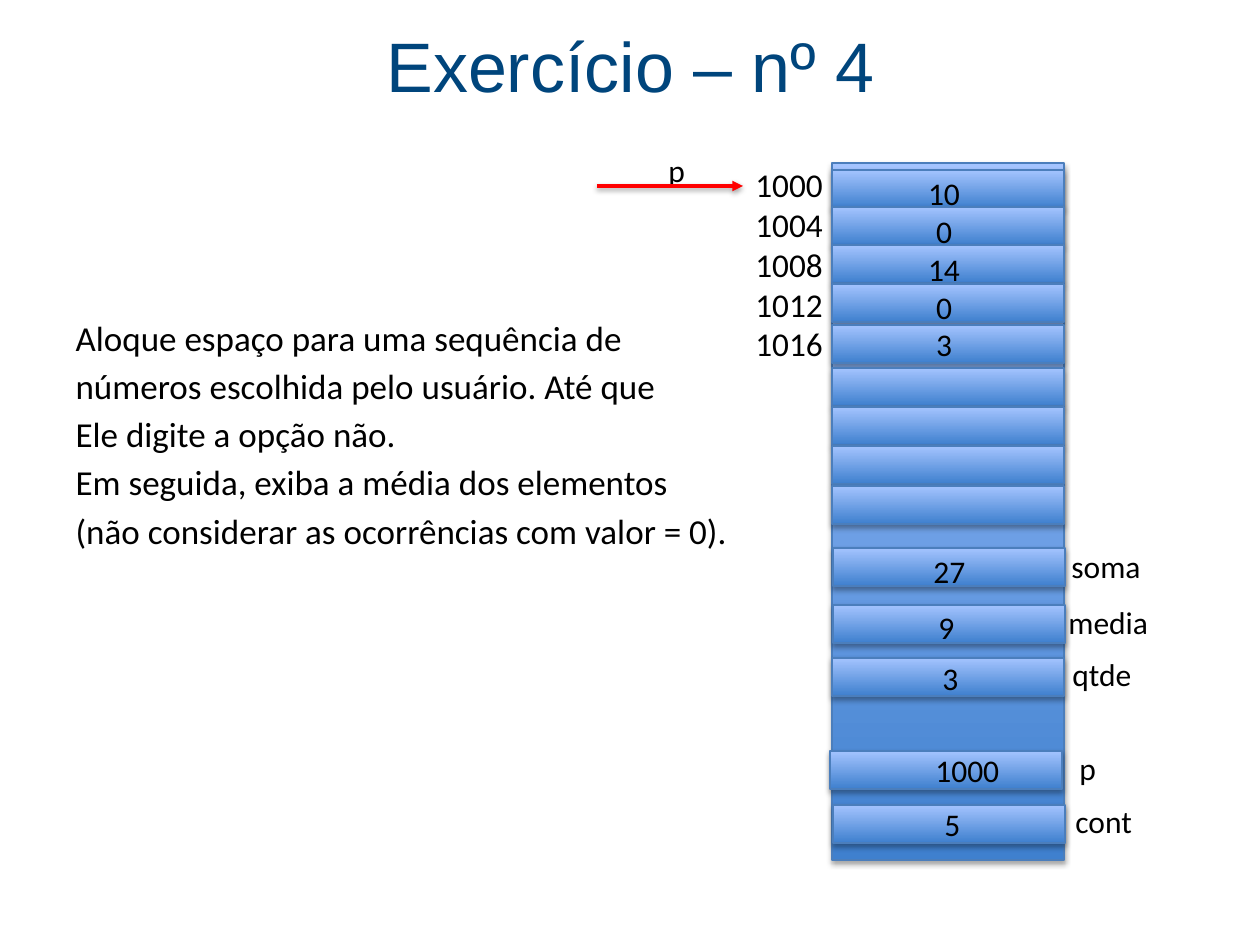
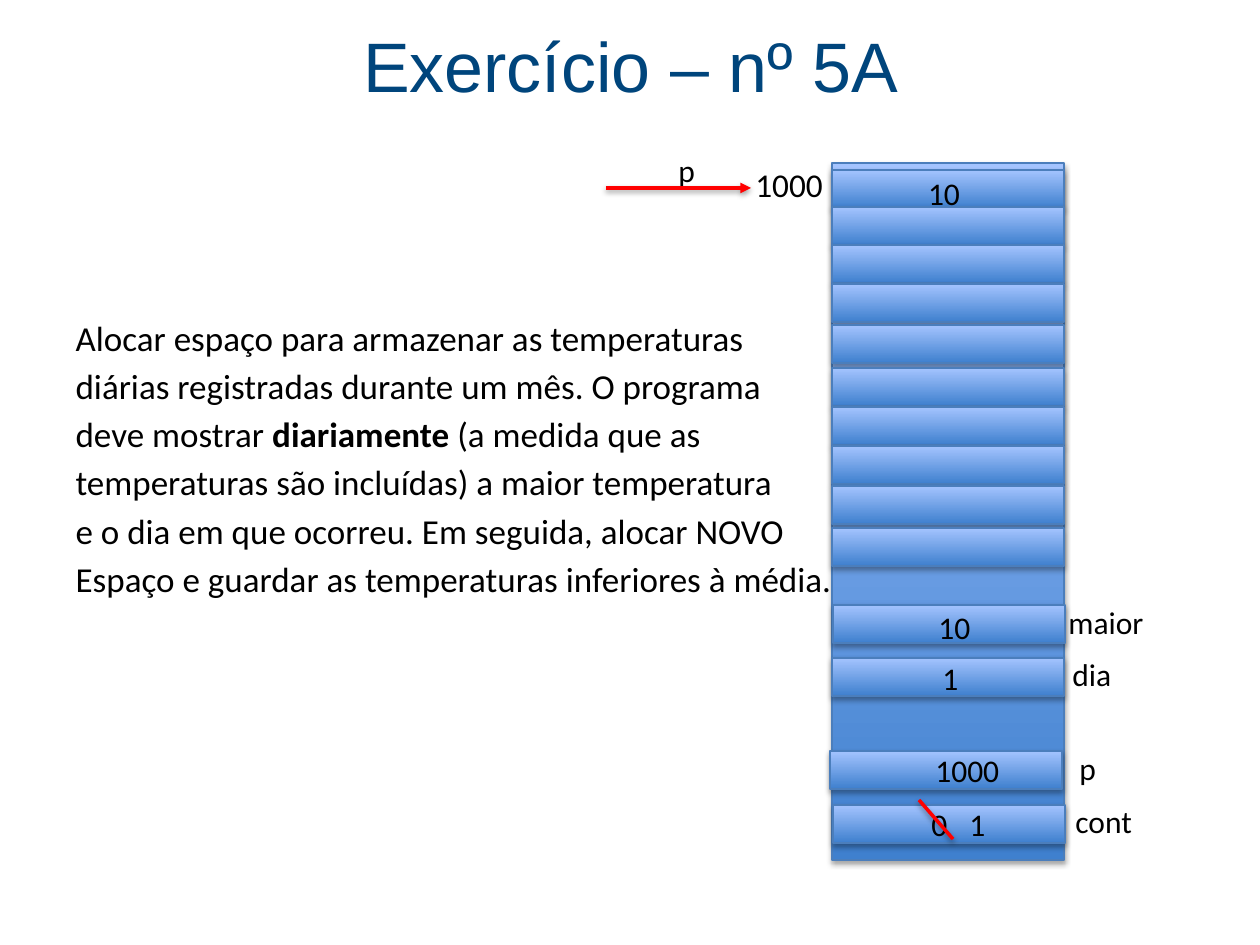
"""Builds two exercise slides that show memory diagrams."""
import dataclasses
import typing

import lxml.etree
import pptx
import pptx.dml.color
import pptx.enum.shapes
import pptx.enum.text
import pptx.oxml.ns
import pptx.util

PX = 914400 / 126
CELL_W, CELL_H = 232, 38
COLUMN_X, COLUMN_Y, COLUMN_H = 832, 163, 697
NOTE_W, NOTE_H = 110, 50
SLOT_TOPS = (170, 207, 245, 284, 325, 368, 407, 446, 486, 528)


@dataclasses.dataclass(frozen=True)
class Theme:
    """Colours, fonts and type sizes of the deck."""
    title: str = "00457C"
    text: str = "000000"
    cell_dark: str = "3F80CE"
    cell_light: str = "A4C4FF"
    cell_line: str = "4B7EBC"
    arrow: str = "FF0000"
    title_font: str = "Arial"
    text_font: str = "Calibri"
    title_size: int = 40
    body_size: int = 20
    address_size: int = 19
    note_size: int = 18
    body_gap: float = 3.6


class Note(typing.NamedTuple):
    """A short text and the corner of its box."""
    text: str
    x: int
    y: int


class Variable(typing.NamedTuple):
    """A named memory cell with its values and label."""
    x: int
    y: int
    values: tuple[Note, ...]
    label: Note


class Line(typing.NamedTuple):
    """A straight red line, with or without an arrowhead."""
    x1: int
    y1: int
    x2: int
    y2: int
    head: bool = True


class Exercise(typing.NamedTuple):
    """The contents of one slide."""
    title: str
    body: tuple[str, ...]
    slots: int
    addresses: tuple[str, ...]
    contents: tuple[str, ...]
    pointer: Note
    variables: tuple[Variable, ...]
    lines: tuple[Line, ...]


THEME = Theme()
POINTER = Variable(830, 751, (Note("1000", 923, 745),), Note("p", 1067, 743))


def counter(*values: Note) -> Variable:
    """Return the cont variable holding the given values."""
    return Variable(833, 805, values, Note("cont", 1063, 796))


EXERCISES = (
    Exercise(
        "Exercício – nº 4",
        ("Aloque espaço para uma sequência de",
         "números escolhida pelo usuário. Até que",
         "Ele digite a opção não.",
         "Em seguida, exiba a média dos elementos",
         "(não considerar as ocorrências com valor = 0)."),
        9,
        ("1000", "1004", "1008", "1012", "1016"),
        ("10", "0", "14", "0", "3"),
        Note("p", 656, 145),
        (Variable(833, 548, (Note("27", 921, 546),), Note("soma", 1059, 541)),
         Variable(833, 605, (Note("9", 926, 602),), Note("media", 1056, 597)),
         Variable(832, 658, (Note("3", 930, 653),), Note("qtde", 1060, 649)),
         POINTER,
         counter(Note("5", 932, 799))),
        (Line(597, 186, 743, 186),),
    ),
    Exercise(
        "Exercício – nº 5A",
        ("Alocar espaço para armazenar as temperaturas",
         "diárias registradas durante um mês. O programa",
         "deve mostrar *diariamente* (a medida que as",
         "temperaturas são incluídas) a maior temperatura",
         "e o dia em que ocorreu. Em seguida, alocar NOVO",
         "Espaço e guardar as temperaturas inferiores à média."),
        10,
        ("1000",),
        ("10",),
        Note("p", 666, 145),
        (Variable(833, 605, (Note("10", 926, 602),), Note("maior", 1056, 597)),
         Variable(832, 658, (Note("1", 930, 653),), Note("dia", 1060, 649)),
         POINTER,
         counter(Note("0", 919, 799), Note("1", 957, 799))),
        (Line(606, 188, 751, 188), Line(919, 800, 953, 839, head=False)),
    ),
)


def px(n: float) -> pptx.util.Emu:
    """Turn pixels into EMU."""
    return pptx.util.Emu(round(n * PX))


def rgb(color: str) -> pptx.dml.color.RGBColor:
    """Return a colour object for a hex string."""
    return pptx.dml.color.RGBColor.from_string(color)


def add_text(p, text: str, *, size: float = THEME.note_size, font: str = THEME.text_font,
             color: str = THEME.text, bold: bool = False) -> None:
    """Append a formatted run to a paragraph."""
    r = p.add_run()
    r.text = text
    r.font.size = pptx.util.Pt(size)
    r.font.name = font
    r.font.bold = bold
    r.font.color.rgb = rgb(color)


def paragraphs(tf, lines: typing.Sequence[str]) -> typing.Iterator[tuple]:
    """Yield one paragraph of the frame for each line of text."""
    for i, line in enumerate(lines):
        yield (tf.add_paragraph() if i else tf.paragraphs[0]), line


def place(sp, x: int, y: int, w: int, h: int) -> None:
    """Move and size a shape."""
    sp.left, sp.top, sp.width, sp.height = px(x), px(y), px(w), px(h)


def sub(parent, tag: str, **attrs: str):
    """Add a DrawingML child element."""
    return lxml.etree.SubElement(parent, pptx.oxml.ns.qn(tag), attrs)


def add_shadow(sp, dist: int, alpha: int) -> None:
    """Give a shape a soft black shadow below it."""
    effects = sub(sp.element.spPr, "a:effectLst")
    shadow = sub(effects, "a:outerShdw", blurRad="40000", dist=str(dist),
                 dir="5400000", rotWithShape="0")
    sub(sub(shadow, "a:srgbClr", val="000000"), "a:alpha", val=str(alpha * 1000))


def add_cell(s, x: int, y: int, h: int = CELL_H) -> None:
    """Draw a shaded block of memory."""
    sp = s.shapes.add_shape(pptx.enum.shapes.MSO_SHAPE.RECTANGLE,
                            px(x), px(y), px(CELL_W), px(h))
    sp.fill.gradient()
    sp.fill.gradient_angle = 90
    for stop, color, position in zip(sp.fill.gradient_stops,
                                     (THEME.cell_dark, THEME.cell_light), (0, 1)):
        stop.color.rgb = rgb(color)
        stop.position = position
    sp.line.color.rgb = rgb(THEME.cell_line)
    sp.line.width = pptx.util.Pt(0.75)
    add_shadow(sp, 23000, 35)


def add_line(s, line: Line) -> None:
    """Draw a red line or arrow."""
    sp = s.shapes.add_connector(pptx.enum.shapes.MSO_CONNECTOR.STRAIGHT,
                                px(line.x1), px(line.y1), px(line.x2), px(line.y2))
    sp.line.color.rgb = rgb(THEME.arrow)
    sp.line.width = pptx.util.Pt(2)
    if line.head:
        sub(sp.element.spPr.find(pptx.oxml.ns.qn("a:ln")), "a:tailEnd", type="triangle")
    add_shadow(sp, 20000, 38)


def add_box(s, lines: typing.Sequence[str], x: int, y: int, w: int = NOTE_W, h: int = NOTE_H,
            *, size: float = THEME.note_size, center: bool = False) -> None:
    """Draw a text box with one paragraph a line."""
    tf = s.shapes.add_textbox(px(x), px(y), px(w), px(h)).text_frame
    tf.word_wrap = True
    for p, line in paragraphs(tf, lines):
        if center:
            p.alignment = pptx.enum.text.PP_ALIGN.CENTER
        add_text(p, line, size=size)


def fill_title(sp, title: str) -> None:
    """Place and format the title."""
    place(sp, 44, 4, 1173, 120)
    tf = sp.text_frame
    tf.auto_size = pptx.enum.text.MSO_AUTO_SIZE.NONE
    tf.vertical_anchor = pptx.enum.text.MSO_ANCHOR.MIDDLE
    p = tf.paragraphs[0]
    p.alignment = pptx.enum.text.PP_ALIGN.CENTER
    add_text(p, title, size=THEME.title_size, font=THEME.title_font, color=THEME.title)


def fill_body(sp, lines: typing.Sequence[str]) -> None:
    """Write the statement, with words between asterisks in bold."""
    place(sp, 63, 163, 1134, 717)
    tf = sp.text_frame
    tf.auto_size = pptx.enum.text.MSO_AUTO_SIZE.NONE
    tf.margin_top = px(153)
    for p, line in paragraphs(tf, lines):
        p.space_before = pptx.util.Pt(0)
        p.space_after = pptx.util.Pt(THEME.body_gap)
        pr = p._p.get_or_add_pPr()
        pr.set("marL", "0")
        pr.set("indent", "0")
        sub(pr, "a:buNone")
        for i, part in enumerate(line.split("*")):
            add_text(p, part, size=THEME.body_size, bold=i % 2 == 1)


def add_exercise(prs, ex: Exercise) -> None:
    """Build the slide of one exercise."""
    s = prs.slides.add_slide(prs.slide_layouts[1])
    fill_title(s.shapes.title, ex.title)
    fill_body(s.placeholders[1], ex.body)
    add_cell(s, COLUMN_X, COLUMN_Y, COLUMN_H)
    for top in SLOT_TOPS[:ex.slots]:
        add_cell(s, COLUMN_X, top)
    add_box(s, ex.addresses, 743, 158, 107, 16 + 40 * len(ex.addresses),
            size=THEME.address_size)
    add_box(s, ex.contents, 883, 168, 122, 12 + 38 * len(ex.contents), center=True)
    for var in ex.variables:
        add_cell(s, var.x, var.y)
        for note in (*var.values, var.label):
            add_box(s, [note.text], note.x, note.y)
    add_box(s, [ex.pointer.text], ex.pointer.x, ex.pointer.y)
    for line in ex.lines:
        add_line(s, line)


def main() -> None:
    """Build and save the deck."""
    prs = pptx.Presentation()
    prs.slide_width, prs.slide_height = px(1260), px(945)
    for ex in EXERCISES:
        add_exercise(prs, ex)
    prs.save("out.pptx")


if __name__ == "__main__":
    main()
